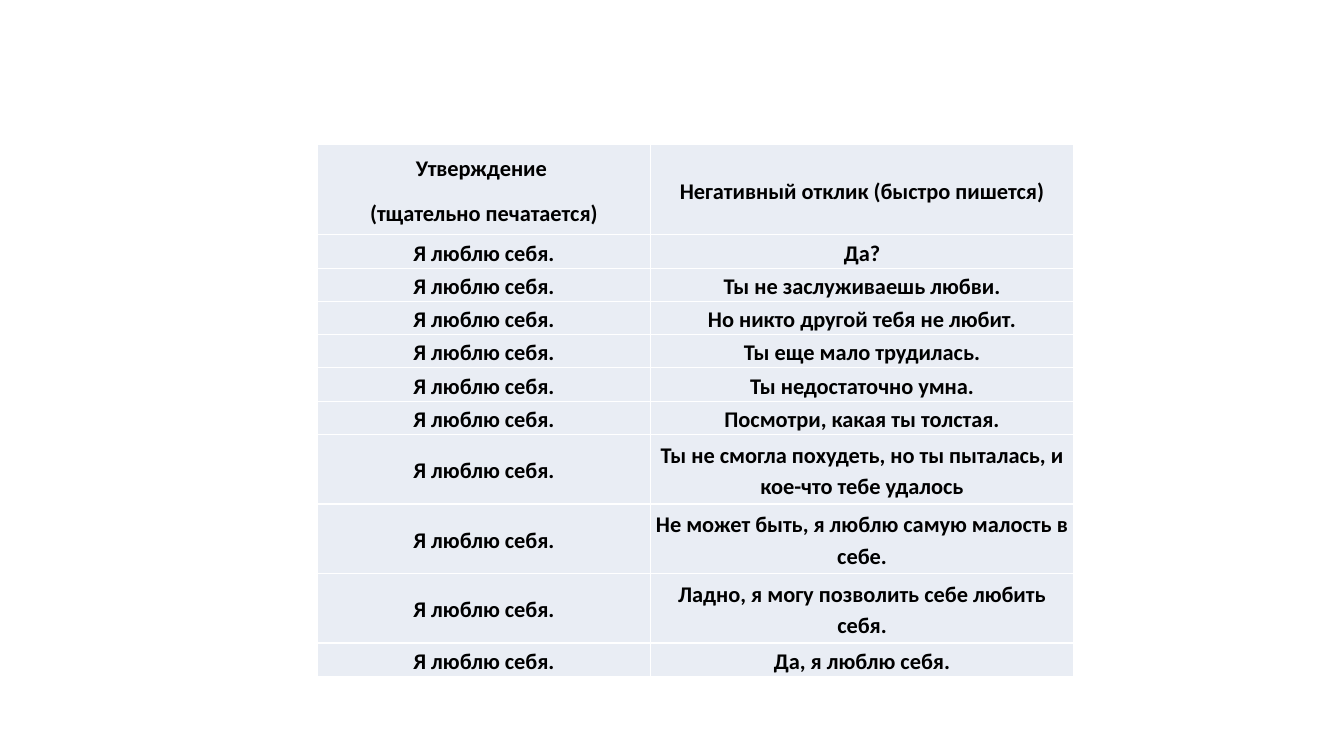
from lxml.etree import SubElement
from pptx import Presentation
from pptx.dml.color import RGBColor
from pptx.enum.text import MSO_ANCHOR, PP_ALIGN
from pptx.oxml.ns import qn
from pptx.util import Pt

PX = 9144  # EMU in one px, 100 px to the inch
BLACK = RGBColor(0x00, 0x00, 0x00)
WHITE = RGBColor(0xFF, 0xFF, 0xFF)
PALE_BLUE = RGBColor(0xE9, 0xED, 0xF4)

BLANK_LAYOUT = 6
COLUMN_WIDTHS = (330, 420)
HEADER_HEIGHT, LINE_HEIGHT, TWO_LINE_HEIGHT = 90, 33, 69
LONGEST_LINE = 38  # characters that fit the second column

HEADERS = (
    "Утверждение \n(тщательно печатается)",
    "Негативный отклик (быстро пишется)",
)
AFFIRMATION = "Я люблю себя."
RESPONSES = (
    "Да?",
    "Ты не заслуживаешь любви.",
    "Но никто другой тебя не любит.",
    "Ты еще мало трудилась.",
    "Ты недостаточно умна.",
    "Посмотри, какая ты толстая.",
    "Ты не смогла похудеть, но ты пыталась, и кое-что тебе удалось",
    "Не может быть, я люблю самую малость в себе.",
    "Ладно, я могу позволить себе любить себя.",
    "Да, я люблю себя.",
)


def px(length):
    return length * PX


def write_text(frame, text, *, font="Calibri", size=16, color=BLACK, bold=True,
               align=PP_ALIGN.CENTER, line_spacing=1.15, space_after=10):
    """Write one paragraph for each line of the text."""
    for index, line in enumerate(text.split("\n")):
        para = frame.add_paragraph() if index else frame.paragraphs[0]
        para.alignment = align
        para.line_spacing = line_spacing
        para.space_after = Pt(space_after)
        span = para.add_run()
        span.text = line
        span.font.name = font
        span.font.size = Pt(size)
        span.font.bold = bold
        span.font.color.rgb = color


def add_borders(cell, color, width):
    properties = cell._tc.get_or_add_tcPr()
    for side in ("a:lnL", "a:lnR", "a:lnT", "a:lnB"):
        line = SubElement(properties, qn(side), w=str(Pt(width)))
        fill = SubElement(line, qn("a:solidFill"))
        SubElement(fill, qn("a:srgbClr"), val=str(color))


def format_cell(cell, text):
    cell.margin_left = cell.margin_right = px(2)
    cell.margin_top = cell.margin_bottom = 0
    cell.vertical_anchor = MSO_ANCHOR.MIDDLE
    add_borders(cell, WHITE, 1)
    cell.fill.solid()
    cell.fill.fore_color.rgb = PALE_BLUE
    write_text(cell.text_frame, text)


def add_text_table(page, left, top, widths, heights, rows):
    frame = page.shapes.add_table(len(rows), len(widths), px(left), px(top),
                                  px(sum(widths)), px(sum(heights)))
    table = frame.table
    table.first_row = table.horz_banding = False
    for column, width in zip(table.columns, widths):
        column.width = px(width)
    for row, height, texts in zip(table.rows, heights, rows):
        row.height = px(height)
        for cell, text in zip(row.cells, texts):
            format_cell(cell, text)


def main():
    deck = Presentation()
    deck.slide_width, deck.slide_height = px(1333), px(750)
    page = deck.slides.add_slide(deck.slide_layouts[BLANK_LAYOUT])

    rows = [HEADERS] + [(AFFIRMATION, response) for response in RESPONSES]
    heights = [HEADER_HEIGHT] + [
        TWO_LINE_HEIGHT if len(response) > LONGEST_LINE else LINE_HEIGHT
        for response in RESPONSES
    ]
    add_text_table(page, 315, 143, COLUMN_WIDTHS, heights, rows)
    deck.save("out.pptx")


if __name__ == "__main__":
    main()
